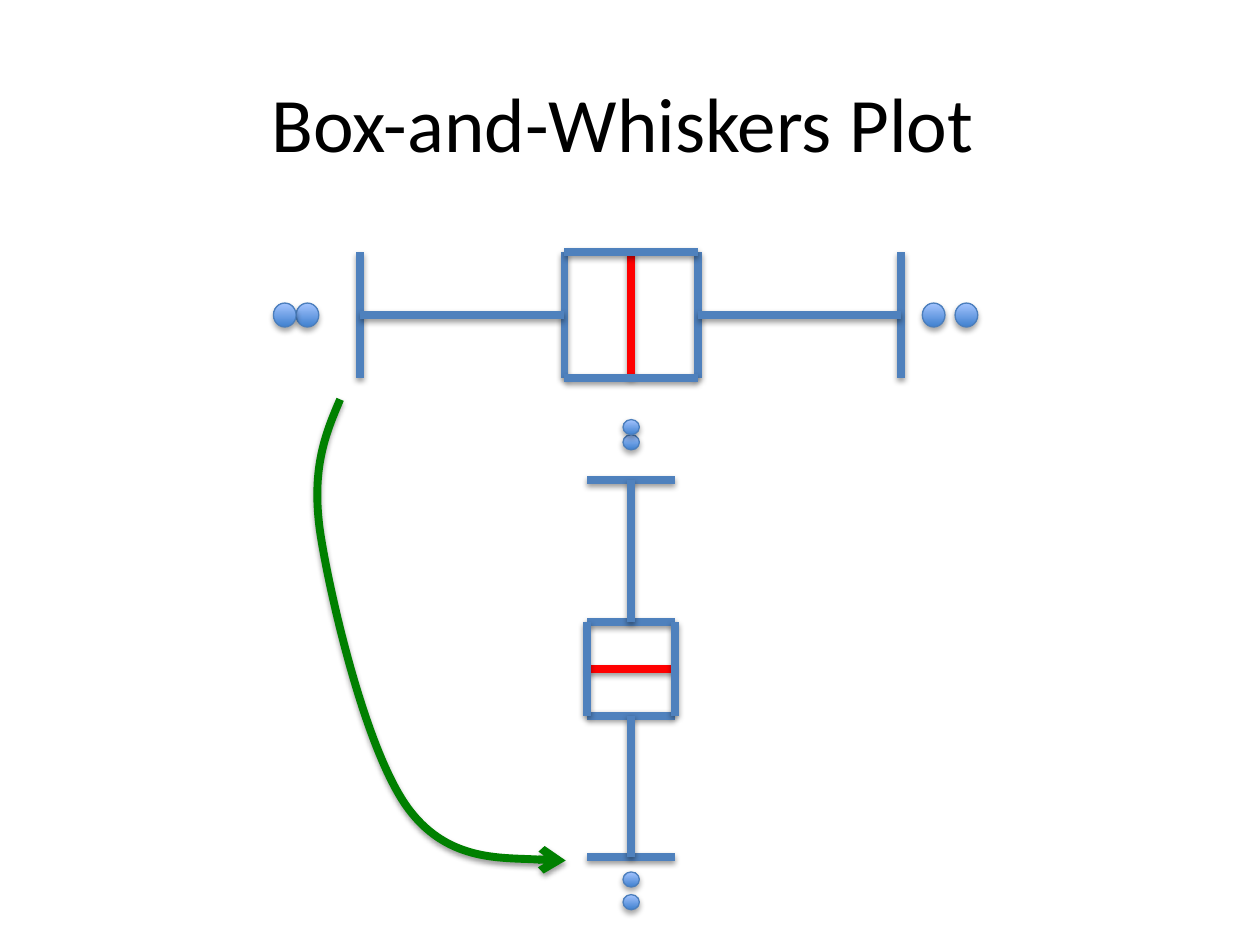
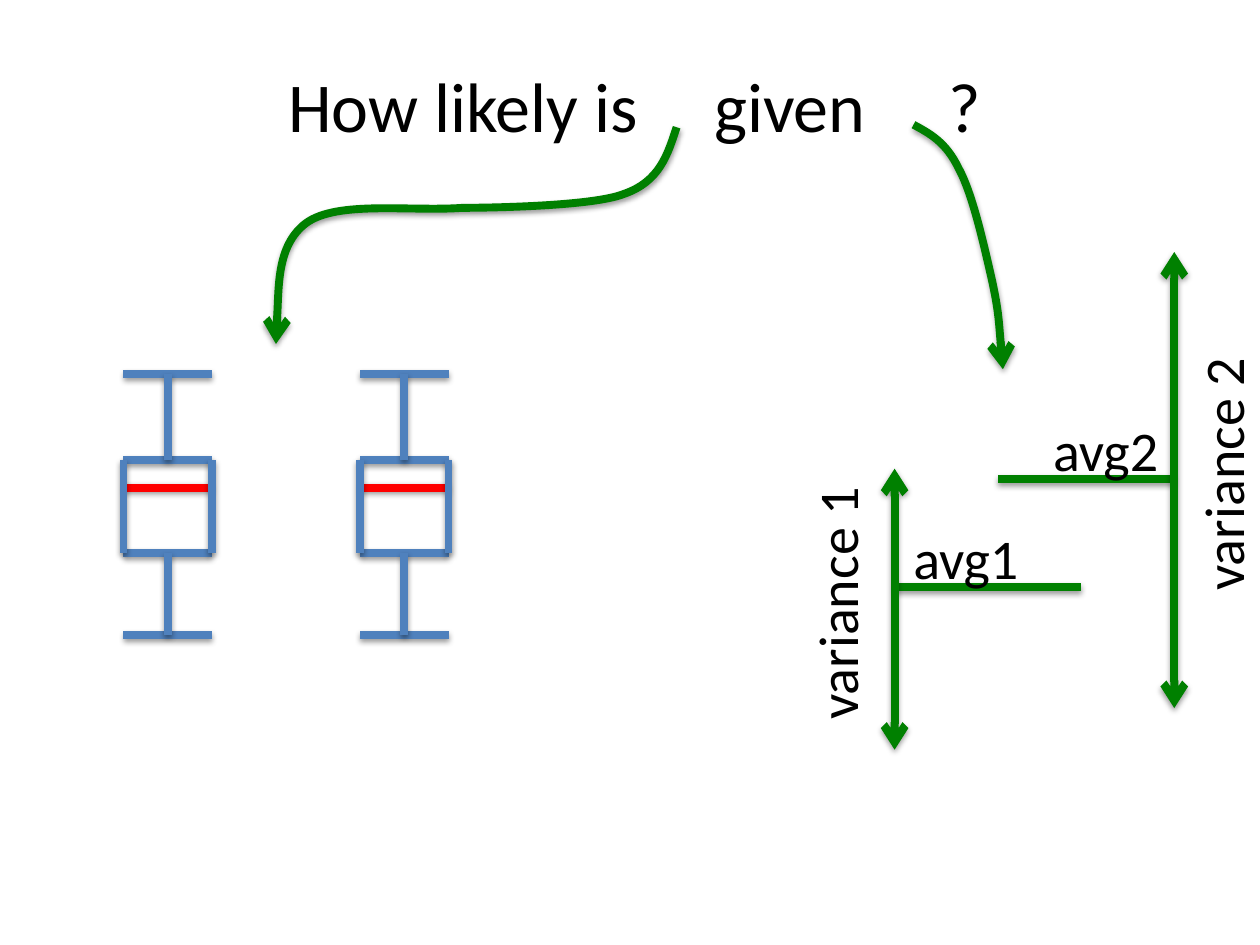
from lxml import etree
from pptx import Presentation
from pptx import util as u
from pptx.dml.color import RGBColor
from pptx.enum import shapes, text
from pptx.oxml import ns

BLACK = RGBColor(0x00, 0x00, 0x00)
BLUE = RGBColor(0x4F, 0x81, 0xBD)
RED = RGBColor(0xFF, 0x00, 0x00)
GREEN = RGBColor(0x00, 0x80, 0x00)
DOT_LINE = RGBColor(0x4B, 0x7E, 0xBC)
DOT_DARK = RGBColor(0x3F, 0x80, 0xCE)
DOT_LIGHT = RGBColor(0xA4, 0xC4, 0xFF)
FONT = "Calibri"
STROKE = 4.5


def add_xml(parent, tag, **attributes):
    return etree.SubElement(parent, ns.qn(tag), attributes)


def cast_shadow(shape, opacity, distance):
    """Soft shadow falling straight down; call it once the line is set."""
    effects = add_xml(shape._element.spPr, "a:effectLst")
    shadow = add_xml(effects, "a:outerShdw", blurRad="40000", dist=str(distance),
                     dir="5400000", rotWithShape="0")
    color = add_xml(shadow, "a:srgbClr", val="000000")
    add_xml(color, "a:alpha", val=str(opacity * 1000))


def style_stroke(shape, color, arrows=()):
    """Thick line, with arrowheads at any of headEnd and tailEnd."""
    shape.line.color.rgb = color
    shape.line.width = u.Pt(STROKE)
    for end in arrows:
        add_xml(shape.line._get_or_add_ln(), "a:" + end, type="arrow")
    cast_shadow(shape, 38, 20000)


def add_line(canvas, start, end, color, arrows=()):
    line = canvas.add_connector(shapes.MSO_CONNECTOR.STRAIGHT,
                                *map(u.Inches, start + end))
    style_stroke(line, color, arrows)


def add_dot(canvas, left, top, width, height):
    dot = canvas.add_shape(shapes.MSO_SHAPE.OVAL,
                           *map(u.Inches, (left, top, width, height)))
    dot.fill.gradient()
    dot.fill.gradient_angle = 90
    for stop, color in zip(dot.fill.gradient_stops, (DOT_DARK, DOT_LIGHT)):
        stop.color.rgb = color
    dot.line.color.rgb = DOT_LINE
    dot.line.width = u.Pt(0.75)
    cast_shadow(dot, 35, 23000)


def add_curved_arrow(canvas, start, curves):
    """Each curve is (first control, second control, end)."""
    builder = canvas.build_freeform(*map(u.Inches, start), scale=1.0)
    builder.add_line_segments([tuple(map(u.Inches, curve[-1])) for curve in curves],
                              close=False)
    arrow = builder.convert_to_shape()
    arrow.fill.background()
    # Turn the straight segments into Bezier curves
    outline = arrow._element.find(".//" + ns.qn("a:path"))
    for segment, curve in zip(outline.findall(ns.qn("a:lnTo")), curves):
        bezier = etree.Element(ns.qn("a:cubicBezTo"))
        for x, y in curve:
            add_xml(bezier, "a:pt", x=str(u.Inches(x) - arrow.left),
                    y=str(u.Inches(y) - arrow.top))
        outline.replace(segment, bezier)
    style_stroke(arrow, GREEN, ["tailEnd"])


def add_text(page, box, words, size, rotation=0, tab_stops=()):
    label = page.shapes.add_textbox(*map(u.Inches, box))
    label.rotation = rotation
    frame = label.text_frame
    frame.word_wrap = bool(tab_stops)
    frame.auto_size = text.MSO_AUTO_SIZE.SHAPE_TO_FIT_TEXT
    para = frame.paragraphs[0]
    para.text = words
    para.font.size = u.Pt(size)
    para.font.name = FONT
    para.font.color.rgb = BLACK
    if tab_stops:
        tabs = etree.Element(ns.qn("a:tabLst"))
        for stop in tab_stops:
            add_xml(tabs, "a:tab", pos=str(u.Inches(stop)), algn="l")
        para._p.get_or_add_pPr().insert(0, tabs)


def add_box_plot(canvas, left, top, breadth, stops, horizontal=False,
                 outliers=(), dot_size=(0, 0)):
    """Stops run along the plot: low cap, box start, median, box end, high cap.

    Outliers are the dot centres on the same scale.
    """
    def place(along, across):
        x, y = (along, across) if horizontal else (across, along)
        return left + x, top + y

    low, box_start, median, box_end, high = stops
    # Median, box ends and caps
    for along in (median, box_end, box_start, high, low):
        add_line(canvas, place(along, 0), place(along, breadth),
                 RED if along == median else BLUE)
    # Box sides
    for across in (0, breadth):
        add_line(canvas, place(box_start, across), place(box_end, across), BLUE)
    # Whiskers
    middle = breadth / 2
    for start, end in ((low, box_start), (box_end, high)):
        add_line(canvas, place(start, middle), place(end, middle), BLUE)
    # Outliers
    width, height = dot_size
    for along in outliers:
        x, y = place(along, middle)
        add_dot(canvas, x - width / 2, y - height / 2, width, height)


def add_spread(page, left, top, height, mean, mean_reach, number,
               mean_label_shift, variance_shift):
    """Vertical variance arrow with its average line; shifts start at the arrow."""
    level = top + mean
    add_line(page.shapes, (left, level), (left + mean_reach, level), GREEN)
    add_text(page, (left + mean_label_shift, level - 0.55, 1.06, 0.64),
             f"avg{number}", 32)
    add_line(page.shapes, (left, top), (left, top + height), GREEN,
             ["headEnd", "tailEnd"])
    width, depth = 2.07, 0.64
    add_text(page, (left + variance_shift - width / 2,
                    top + height / 2 - 0.06 - depth / 2, width, depth),
             f"variance {number}", 32, rotation=270)


def build_plot_page(page):
    add_box_plot(page.shapes, 2.86, 2, 1, (0, 1.62, 2.15, 2.68, 4.29),
                 horizontal=True, outliers=(4.55, 4.81, -0.42, -0.6),
                 dot_size=(0.18, 0.19))
    add_text(page, (2.06, 0.55, 5.88, 0.84), "Box-and-Whiskers Plot", 44)
    upright = page.shapes.add_group_shape()
    add_box_plot(upright.shapes, 4.66, 3.81, 0.7, (0, 1.13, 1.5, 1.87, 2.99),
                 outliers=(3.17, 3.35, -0.3, -0.42), dot_size=(0.13, 0.12))
    add_curved_arrow(page.shapes, (2.7, 3.17), [
        ((2.58, 3.45), (2.46, 3.74), (2.55, 4.28)),
        ((2.64, 4.82), (2.92, 6), (3.25, 6.43)),
        ((3.57, 6.85), (4.49, 6.83), (4.49, 6.83)),
    ])


def build_likelihood_page(page):
    # Two samples
    for left in (2.86, 0.98):
        add_box_plot(page.shapes, left, 2.97, 0.7, (0, 0.68, 0.9, 1.42, 2.07))
    # Question and what its gaps point to
    add_text(page, (2.19, 0.45, 5.77, 0.77), "How likely is\tgiven\t?", 40,
             tab_stops=(3.38, 5.24))
    add_curved_arrow(page.shapes, (5.37, 1.01), [
        ((5.3, 1.22), (5.24, 1.44), (4.95, 1.54)),
        ((4.67, 1.65), (3.67, 1.65), (3.67, 1.65)),
        ((3.25, 1.68), (2.68, 1.59), (2.43, 1.77)),
        ((2.19, 1.95), (2.19, 2.73), (2.19, 2.73)),
    ])
    add_curved_arrow(page.shapes, (7.25, 0.99), [
        ((7.38, 1.06), (7.51, 1.13), (7.61, 1.34)),
        ((7.72, 1.54), (7.81, 1.95), (7.87, 2.21)),
        ((7.93, 2.48), (7.96, 2.93), (7.96, 2.93)),
    ])
    # Averages and variances
    add_spread(page, 7.1, 3.72, 2.23, 0.94, 1.48, 1, 0.05, -0.46)
    add_spread(page, 9.32, 2, 3.62, 1.8, -1.4, 2, -1.06, 0.38)


def main():
    deck = Presentation()
    deck.slide_width, deck.slide_height = u.Inches(10), u.Inches(7.5)
    for build in (build_plot_page, build_likelihood_page):
        build(deck.slides.add_slide(deck.slide_layouts[6]))
    deck.save("out.pptx")


if __name__ == "__main__":
    main()
